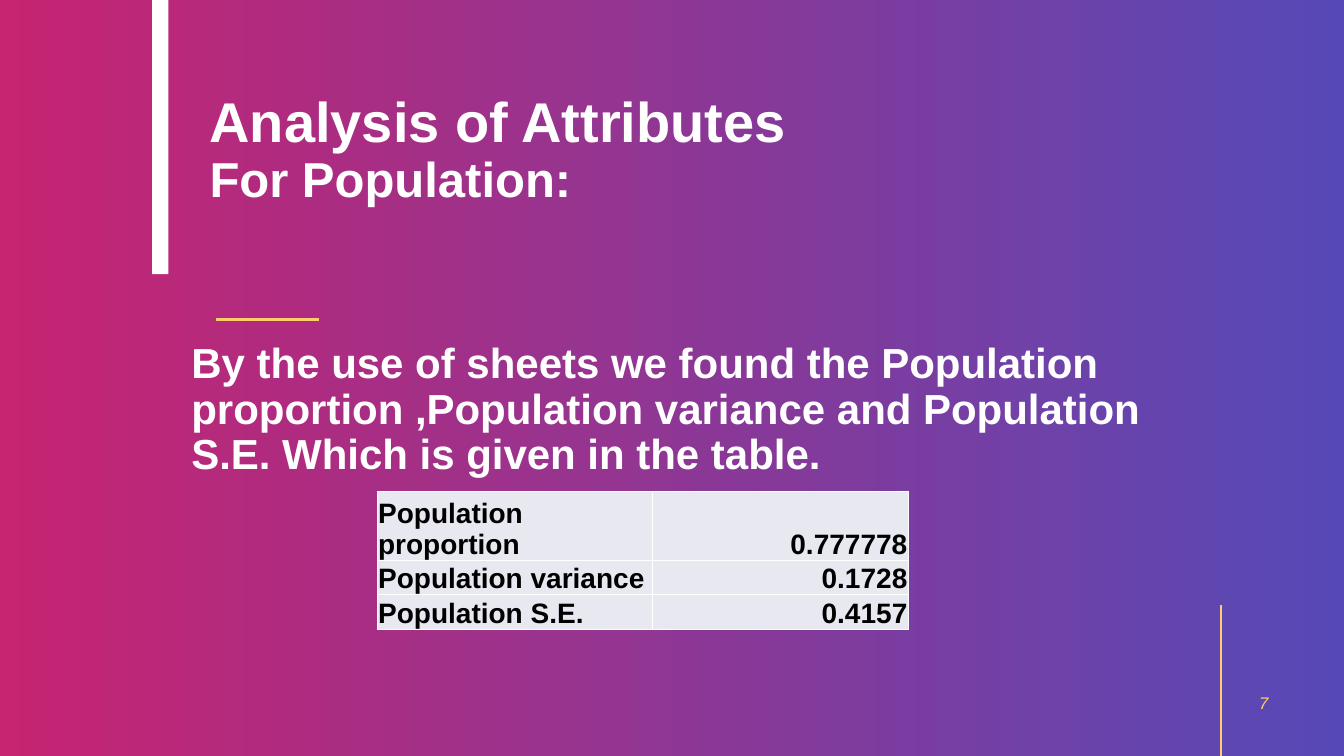
from lxml.etree import SubElement
from pptx import Presentation
from pptx.dml.color import RGBColor
from pptx.enum.shapes import MSO_CONNECTOR, MSO_SHAPE
from pptx.enum.text import MSO_ANCHOR, PP_ALIGN
from pptx.oxml.ns import qn
from pptx.util import Inches, Pt

COLORS = {
    "pink": "BE005A",
    "indigo": "3B2CAC",
    "white": "FFFFFF",
    "gold": "FFCD6B",
    "cell": "E8E8F1",
    "black": "000000",
}
RESULTS = [
    ("Population proportion", "0.777778", 0.55),
    ("Population variance", "0.1728", 0.31),
    ("Population S.E.", "0.4157", 0.32),
]


def color(name):
    """Return the named colour."""
    return RGBColor.from_string(COLORS[name])


def set_font(font, size, name, bold=False, italic=False):
    """Style a font in Arial."""
    font.name = "Arial"
    font.size = Pt(size)
    font.bold = bold
    font.italic = italic
    font.color.rgb = color(name)


def add_rectangle(slide, left, top, width, height):
    """Add a rectangle without line or shadow."""
    shape = slide.shapes.add_shape(
        MSO_SHAPE.RECTANGLE, Inches(left), Inches(top), Inches(width), Inches(height))
    shape.shadow.inherit = False
    shape.line.fill.background()
    return shape


def add_backdrop(slide):
    """Cover the slide with a translucent horizontal gradient."""
    fill = add_rectangle(slide, 0, 0, 13.33, 7.5).fill
    fill.gradient()
    fill.gradient_angle = 0
    for stop, name in zip(fill.gradient_stops, ("pink", "indigo")):
        stop.color.rgb = color(name)
    for element in fill._xPr.iter(qn("a:srgbClr")):
        SubElement(element, qn("a:alpha"), val="85000")


def add_accent_line(slide, x1, y1, x2, y2):
    """Add a thin gold line."""
    line = slide.shapes.add_connector(
        MSO_CONNECTOR.STRAIGHT, Inches(x1), Inches(y1), Inches(x2), Inches(y2))
    line.line.color.rgb = color("gold")
    line.line.width = Pt(2)
    SubElement(line._element.spPr, qn("a:effectLst"))


def add_text(slide, left, top, width, height, anchor=MSO_ANCHOR.TOP):
    """Add a wrapping text box and return its first paragraph."""
    box = slide.shapes.add_textbox(
        Inches(left), Inches(top), Inches(width), Inches(height))
    box.text_frame.word_wrap = True
    box.text_frame.vertical_anchor = anchor
    return box.text_frame.paragraphs[0]


def add_title(slide):
    """Add the two-line title."""
    paragraph = add_text(slide, 1.98, 0.35, 9.63, 1.76, MSO_ANCHOR.BOTTOM)
    paragraph.line_spacing = 0.9
    heading = paragraph.add_run()
    heading.text = "Analysis of Attributes"
    set_font(heading.font, 40, "white", bold=True)
    paragraph.add_line_break()
    subject = paragraph.add_run()
    subject.text = "For Population:"
    set_font(subject.font, 35, "white", bold=True)


def style_cell(cell, text, align):
    """Fill one table cell and give it white borders."""
    cell.margin_left = cell.margin_right = cell.margin_top = Inches(0.01)
    cell.margin_bottom = 0
    cell.vertical_anchor = MSO_ANCHOR.BOTTOM
    properties = cell._tc.get_or_add_tcPr()
    for side in ("lnL", "lnR", "lnT", "lnB"):
        border = SubElement(properties, qn(f"a:{side}"), w=str(Pt(1)))
        solid = SubElement(border, qn("a:solidFill"))
        SubElement(solid, qn("a:srgbClr"), val=COLORS["white"])
    cell.fill.solid()
    cell.fill.fore_color.rgb = color("cell")
    paragraph = cell.text_frame.paragraphs[0]
    paragraph.text = text
    paragraph.alignment = align
    set_font(paragraph.font, 20, "black", bold=True)


def add_results_table(slide):
    """Add the table of population measures."""
    table = slide.shapes.add_table(
        len(RESULTS), 2, Inches(3.74), Inches(4.88), Inches(5.27), Inches(1.18)).table
    table.first_row = table.horz_banding = False
    for column, width in zip(table.columns, (2.73, 2.54)):
        column.width = Inches(width)
    for index, (label, value, height) in enumerate(RESULTS):
        table.rows[index].height = Inches(height)
        style_cell(table.cell(index, 0), label, PP_ALIGN.LEFT)
        style_cell(table.cell(index, 1), value, PP_ALIGN.RIGHT)


def main():
    """Build the slide and save it."""
    presentation = Presentation()
    presentation.slide_width = Inches(13.33)
    presentation.slide_height = Inches(7.5)
    slide = presentation.slides.add_slide(presentation.slide_layouts[6])

    add_backdrop(slide)
    bar = add_rectangle(slide, 1.51, 0, 0.16, 2.72)
    bar.fill.solid()
    bar.fill.fore_color.rgb = color("white")
    add_accent_line(slide, 2.14, 3.17, 3.16, 3.17)
    add_accent_line(slide, 12.11, 7.5, 12.11, 6)
    add_title(slide)

    summary = add_text(slide, 1.8, 3.35, 10, 1.53)
    summary.text = (
        "By the use of sheets we found the Population proportion ,Population "
        "variance and Population S.E. Which is given in the table.")
    summary.line_spacing = 0.9
    set_font(summary.font, 30, "white", bold=True)

    add_results_table(slide)

    number = add_text(slide, 9.68, 6.77, 3, 0.4, MSO_ANCHOR.MIDDLE)
    number.text = "7"
    number.alignment = PP_ALIGN.RIGHT
    set_font(number.font, 12, "gold", italic=True)

    presentation.save("out.pptx")


if __name__ == "__main__":
    main()
